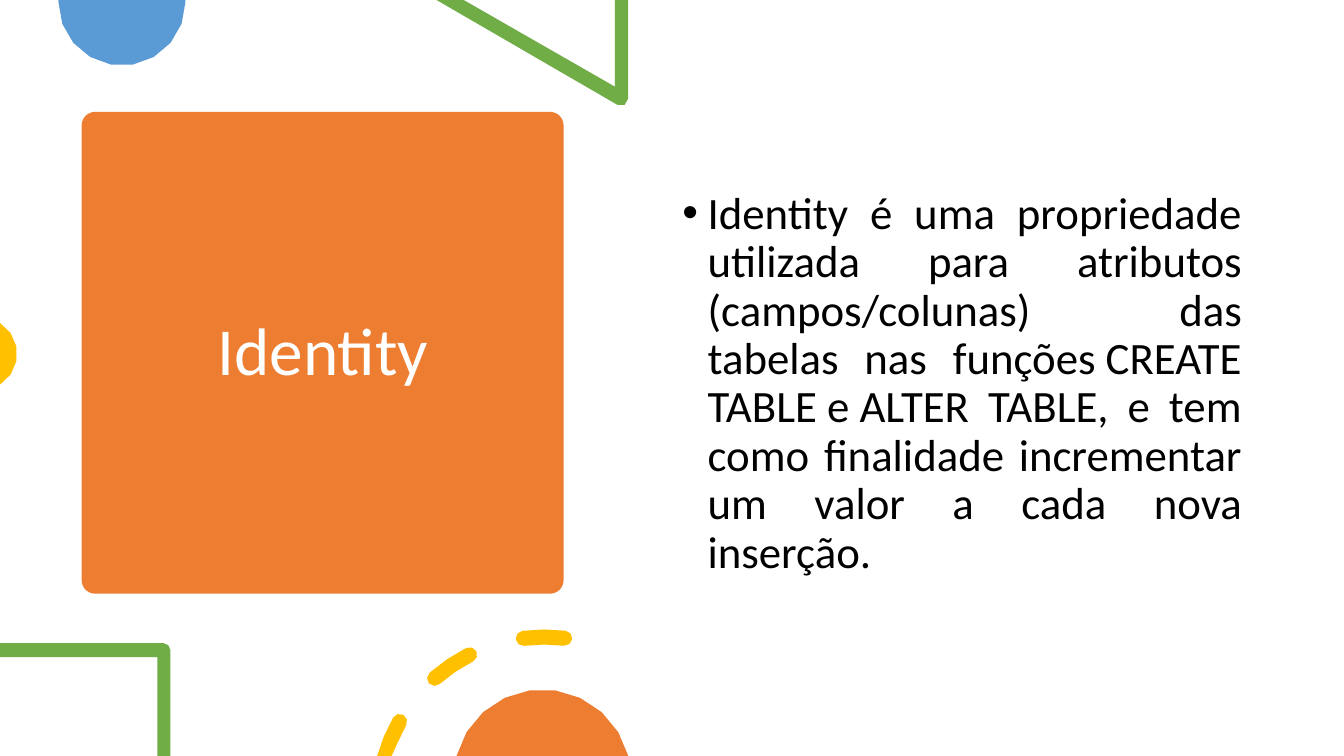
from math import acos, ceil, cos, degrees, radians, sin

from lxml import etree
from pptx import Presentation
from pptx import util as u
from pptx.dml.color import RGBColor
from pptx.enum import shapes, text
from pptx.oxml.ns import qn

ORANGE = RGBColor(0xED, 0x7D, 0x31)
BLUE = RGBColor(0x5B, 0x9B, 0xD5)
GREEN = RGBColor(0x70, 0xAD, 0x47)
YELLOW = RGBColor(0xFF, 0xC0, 0x00)
WHITE = RGBColor(0xFF, 0xFF, 0xFF)
BLACK = RGBColor(0x00, 0x00, 0x00)

# All lengths count cells of a square grid, 13.33 columns by 7.5 rows
CELL = u.Inches(1)
COLUMNS, ROWS = 13.33, 7.5
CORNER = 0.07  # radius of the rounded green corners
FLATNESS = 0.01  # largest gap between an arc and its chords


def arc(column, row, radius, start, end):
    """Return points along an arc in degrees, cut at the slide's bottom edge."""
    widest = 2 * degrees(acos(1 - FLATNESS / radius))
    steps = ceil(abs(end - start) / widest)
    angles = [radians(start + (end - start) * step / steps) for step in range(steps + 1)]
    return [(column + radius * cos(a), min(row + radius * sin(a), ROWS)) for a in angles]


def paint(shape, colour):
    """Fill a shape with one colour, without outline or shadow."""
    shape.fill.solid()
    shape.fill.fore_color.rgb = colour
    shape.line.fill.background()
    shape.shadow.inherit = False


presentation = Presentation()
presentation.slide_width = int(COLUMNS * CELL)
presentation.slide_height = int(ROWS * CELL)
slide = presentation.slides.add_slide(presentation.slide_layouts[6])

# Title panel
panel = slide.shapes.add_shape(
    shapes.MSO_SHAPE.ROUNDED_RECTANGLE,
    *[int(length * CELL) for length in (0.81, 1.11, 4.78, 4.78)])
panel.adjustments[0] = 0.028
paint(panel, ORANGE)

# Dashes with round ends on one ring; the first is cut by the bottom edge
ring_column, ring_row, ring_radius, half_width = 5.4, 7.97, 1.65, 0.075
dashes = []
for start, end in [(195.8, 209.5), (228.7, 243.3), (262.7, 277)]:
    middle = arc(ring_column, ring_row, ring_radius, start, end)
    dash = arc(ring_column, ring_row, ring_radius + half_width, start, end)
    dash += arc(*middle[-1], half_width, end, end + 180)[1:-1]
    dash += arc(ring_column, ring_row, ring_radius - half_width, end, start)
    if middle[0][1] < ROWS:
        dash += arc(*middle[0], half_width, start + 180, start + 360)[1:-1]
    dashes.append(dash)

# Decorations along the slide's edges
triangle = [(6.23, 0), (6.1, 0), (6.1, 0.86), (4.6, 0), (4.33, 0)]
triangle += arc(6.16, 0.98, CORNER, 120, 0)
frame = [(0, 6.38), (0, 6.52), (1.56, 6.52), (1.56, ROWS), (1.69, ROWS)]
frame += arc(1.62, 6.45, CORNER, 0, -90)
body_text = (
    "Identity é uma propriedade utilizada para atributos (campos/colunas) das "
    "tabelas nas funções\u00a0CREATE TABLE\u00a0e\u00a0ALTER TABLE, e tem como "
    "finalidade incrementar um valor a cada nova inserção.")

# From back to front: a text block or a list of outlines, each with its colour
layers = [
    (WHITE, ("Identity", (1.05, 1.23, 4.31, 4.56), 48,
             text.PP_ALIGN.CENTER, text.MSO_ANCHOR.MIDDLE)),
    (BLUE, [[(1.84, 0), *arc(1.21, 0.02, 0.63, 0, 180), (0.58, 0)]]),
    (GREEN, [triangle]),
    (YELLOW, [arc(-0.19, 3.51, 0.36, -58, 58)]),
    (BLACK, (body_text, (6.67, 1.84, 5.75, 3.82), 32,
             text.PP_ALIGN.JUSTIFY, text.MSO_ANCHOR.TOP)),
    (GREEN, [frame]),
    (YELLOW, dashes),
    (ORANGE, [arc(5.38, 7.72, 0.88, 194.5, 345.5)]),
]
for colour, content in layers:
    if isinstance(content, list):
        outlines = [[(column * CELL, row * CELL) for column, row in outline]
                    for outline in content]
        builder = slide.shapes.build_freeform(*outlines[0][0], scale=1.0)
        for outline in outlines:
            if outline is not outlines[0]:
                builder.move_to(*outline[0])
            builder.add_line_segments(outline[1:], close=True)
        paint(builder.convert_to_shape(), colour)
        continue

    wording, place, size, alignment, anchor = content
    box = slide.shapes.add_textbox(*[int(length * CELL) for length in place])
    box.text_frame.word_wrap = True
    box.text_frame.vertical_anchor = anchor
    box.text_frame.text = wording
    paragraph = box.text_frame.paragraphs[0]
    paragraph.alignment = alignment
    paragraph.line_spacing = 0.9
    font = paragraph.runs[0].font
    font.name = "Calibri"
    font.size = u.Pt(size)
    font.color.rgb = colour

# The body, the last paragraph written, has a bullet
paragraph.space_before = u.Pt(10)
properties = paragraph._p.get_or_add_pPr()
properties.set("marL", str(CELL // 4))
properties.set("indent", str(-CELL // 4))
etree.SubElement(properties, qn("a:buFont")).set("typeface", "Arial")
etree.SubElement(properties, qn("a:buChar")).set("char", "•")

presentation.save("out.pptx")
